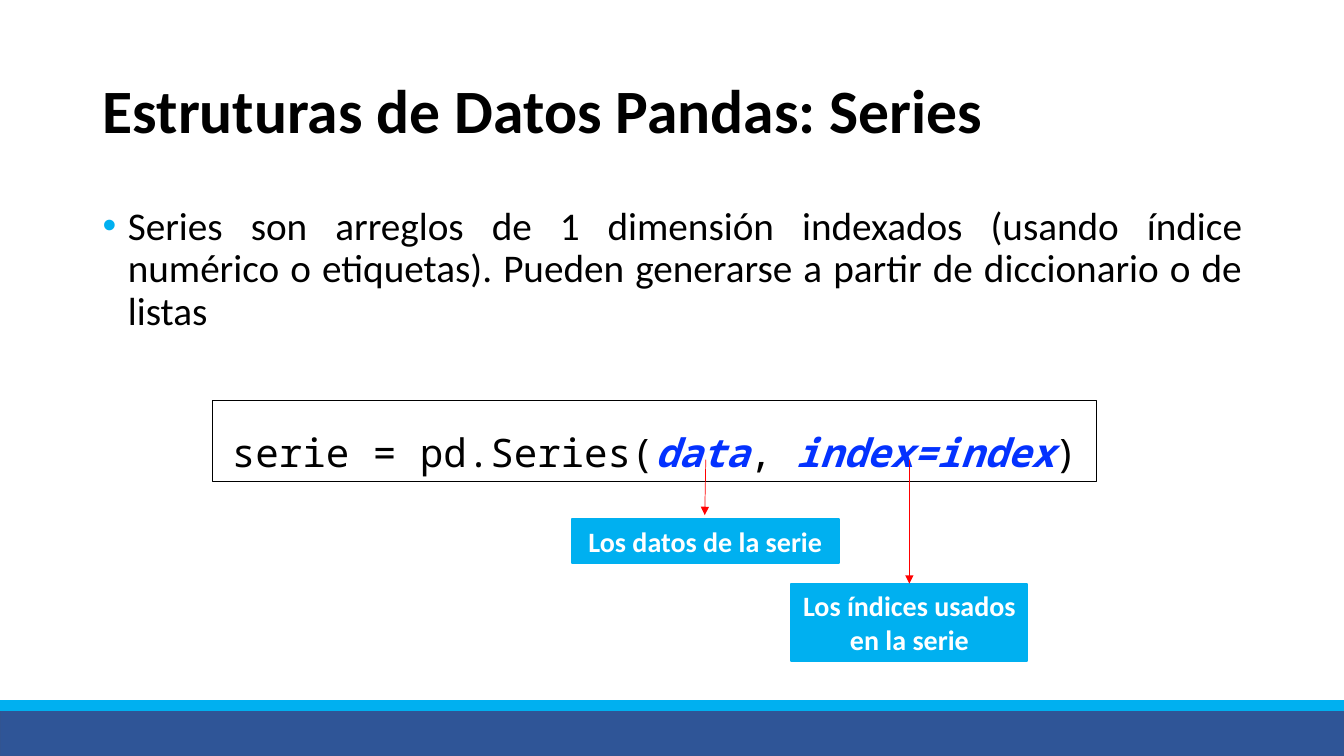
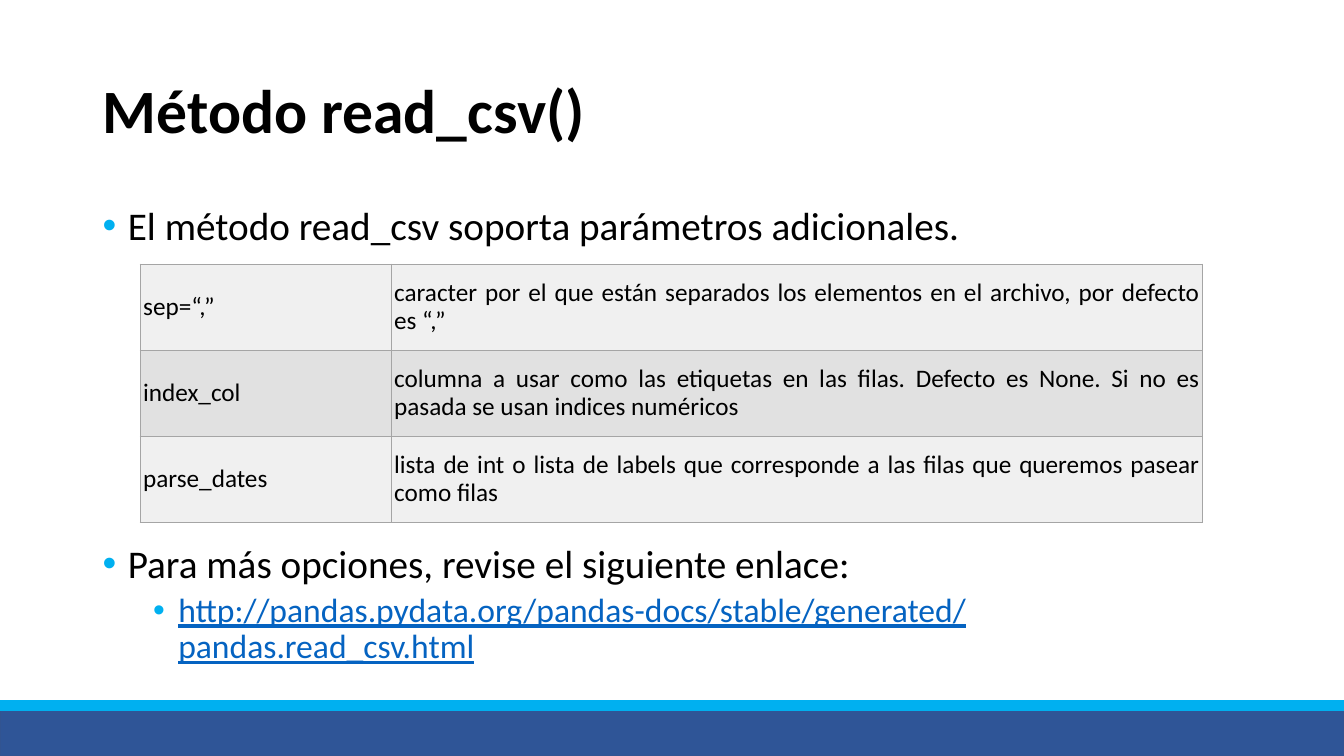
"""Build two slides about Pandas series and the read_csv method."""
from dataclasses import dataclass
from typing import Optional, Sequence

import lxml.etree
import pptx
import pptx.dml.color
import pptx.enum.shapes
import pptx.enum.text
import pptx.oxml.ns
import pptx.shapes.autoshape
import pptx.shapes.connector
import pptx.slide
import pptx.table
import pptx.text.text
import pptx.util

RGBColor = pptx.dml.color.RGBColor
Align = pptx.enum.text.PP_ALIGN
Anchor = pptx.enum.text.MSO_ANCHOR
AutoSize = pptx.enum.text.MSO_AUTO_SIZE

BLACK = RGBColor(0x00, 0x00, 0x00)
WHITE = RGBColor(0xFF, 0xFF, 0xFF)
NAVY = RGBColor(0x2F, 0x55, 0x97)
NAVY_EDGE = RGBColor(0x32, 0x54, 0x91)
CYAN = RGBColor(0x00, 0xB0, 0xF0)
CODE_BLUE = RGBColor(0x04, 0x32, 0xFF)
LINK_BLUE = RGBColor(0x05, 0x63, 0xC1)
RED = RGBColor(0xFF, 0x00, 0x00)
BORDER_GRAY = RGBColor(0xA5, 0xA5, 0xA5)
ROW_FILLS = (RGBColor(0xF0, 0xF0, 0xF0), RGBColor(0xE1, 0xE1, 0xE1))

TEXT_FONT = "Calibri"
CODE_FONT = "Noto Sans Mono"
EMU_PER_PX = 9144
SLIDE_WIDTH, SLIDE_HEIGHT = 1333, 750


@dataclass(frozen=True)
class Box:
    """A rectangle in px."""

    left: int
    top: int
    width: int
    height: int

    def emu(self) -> tuple:
        """Return left, top, width and height in EMU."""
        return tuple(map(px, (self.left, self.top, self.width, self.height)))


@dataclass(frozen=True)
class Run:
    """A stretch of text in one format."""

    text: str
    size: int = 28
    color: RGBColor = BLACK
    font: str = TEXT_FONT
    bold: bool = False
    italic: bool = False
    underline: bool = False


@dataclass(frozen=True)
class Paragraph:
    """Runs with their alignment, spacing and optional bullet indent in px."""

    runs: Sequence[Run]
    align: Align = Align.LEFT
    line_spacing: float = 0.9
    space_before: int = 0
    bullet_indent: Optional[int] = None


@dataclass(frozen=True)
class Panel:
    """A rectangle with its fill, line and text."""

    box: Box
    fill: Optional[RGBColor]
    line: RGBColor
    line_width: float
    paragraphs: Sequence[Paragraph] = ()


def px(length: int) -> int:
    """Turn px into EMU."""
    return pptx.util.Emu(length * EMU_PER_PX)


def add_xml(parent: lxml.etree._Element, tag: str, **attributes: str) -> lxml.etree._Element:
    """Append a DrawingML element."""
    return lxml.etree.SubElement(parent, pptx.oxml.ns.qn(tag), attributes)


def write_text(frame: pptx.text.text.TextFrame, paragraphs: Sequence[Paragraph]) -> None:
    """Fill a text frame run by run."""
    frame.word_wrap = True
    for number, item in enumerate(paragraphs):
        paragraph = frame.add_paragraph() if number else frame.paragraphs[0]
        paragraph.alignment = item.align
        paragraph.line_spacing = item.line_spacing
        paragraph.space_before = pptx.util.Pt(item.space_before)
        for part in item.runs:
            run = paragraph.add_run()
            run.text = part.text
            font = run.font
            font.name, font.size = part.font, pptx.util.Pt(part.size)
            font.bold, font.italic, font.underline = part.bold, part.italic, part.underline
            font.color.rgb = part.color
        if item.bullet_indent is not None:
            properties = paragraph._p.get_or_add_pPr()
            properties.set("marL", str(px(item.bullet_indent)))
            properties.set("indent", str(px(-25)))
            add_xml(add_xml(properties, "a:buClr"), "a:srgbClr", val=str(CYAN))
            add_xml(properties, "a:buFont", typeface="Arial")
            add_xml(properties, "a:buChar", char="•")


def add_panel(slide: pptx.slide.Slide, panel: Panel) -> pptx.shapes.autoshape.Shape:
    """Draw a rectangle, with text if it has any."""
    shape = slide.shapes.add_shape(pptx.enum.shapes.MSO_SHAPE.RECTANGLE, *panel.box.emu())
    shape.shadow.inherit = False
    if panel.fill is None:
        shape.fill.background()
    else:
        shape.fill.solid()
        shape.fill.fore_color.rgb = panel.fill
    shape.line.color.rgb = panel.line
    shape.line.width = pptx.util.Pt(panel.line_width)
    if panel.paragraphs:
        write_text(shape.text_frame, panel.paragraphs)
        shape.text_frame.vertical_anchor = Anchor.TOP
        shape.text_frame.auto_size = AutoSize.SHAPE_TO_FIT_TEXT
    return shape


def add_arrow(slide: pptx.slide.Slide, start: tuple[int, int],
              end: tuple[int, int]) -> pptx.shapes.connector.Connector:
    """Draw a thin red arrow."""
    arrow = slide.shapes.add_connector(
        pptx.enum.shapes.MSO_CONNECTOR.STRAIGHT, *map(px, start + end))
    arrow.line.color.rgb = RED
    arrow.line.width = pptx.util.Pt(0.5)
    add_xml(arrow.line._get_or_add_ln(), "a:tailEnd", type="triangle")
    add_xml(arrow._element.spPr, "a:effectLst")
    return arrow


def add_bands(slide: pptx.slide.Slide) -> None:
    """Draw the footer bands and place them in the slide's layout."""
    layout_tree = slide.slide_layout.shapes.element
    for band in (Panel(Box(0, 703, SLIDE_WIDTH, 47), NAVY, NAVY_EDGE, 1),
                 Panel(Box(0, 695, SLIDE_WIDTH, 10), CYAN, CYAN, 1)):
        layout_tree.append(add_panel(slide, band).element)


def add_titled_slide(presentation: pptx.presentation.Presentation, title: str,
                     body: Sequence[Paragraph]) -> pptx.slide.Slide:
    """Add a slide with the shared title style and a bulleted body."""
    slide = presentation.slides.add_slide(presentation.slide_layouts[5])
    heading = slide.shapes.title
    heading.left, heading.top, heading.width, heading.height = Box(92, 40, 1150, 145).emu()
    write_text(heading.text_frame, [Paragraph([Run(title, size=44, bold=True)])])
    heading.text_frame.vertical_anchor = Anchor.MIDDLE
    heading.text_frame.auto_size = AutoSize.NONE
    write_text(slide.shapes.add_textbox(*Box(92, 200, 1150, 476).emu()).text_frame, body)
    return slide


def add_label(slide: pptx.slide.Slide, box: Box, text: str) -> pptx.shapes.autoshape.Shape:
    """Draw a cyan label with bold white text."""
    paragraph = Paragraph([Run(text, size=20, color=WHITE, bold=True)], Align.CENTER, 1.0)
    return add_panel(slide, Panel(box, CYAN, CYAN, 1.5, [paragraph]))


def format_cell(cell: pptx.table._Cell, text: str, fill: RGBColor) -> None:
    """Write, fill and border one table cell."""
    write_text(cell.text_frame, [Paragraph([Run(text, size=18)], Align.JUSTIFY, space_before=10)])
    cell.vertical_anchor = Anchor.MIDDLE
    cell.margin_left = cell.margin_right = cell.margin_top = cell.margin_bottom = px(3)
    properties = cell._tc.get_or_add_tcPr()
    for side in ("a:lnL", "a:lnR", "a:lnT", "a:lnB"):
        border = add_xml(properties, side, w=str(pptx.util.Pt(1)))
        add_xml(add_xml(border, "a:solidFill"), "a:srgbClr", val=str(BORDER_GRAY))
    add_xml(add_xml(properties, "a:solidFill"), "a:srgbClr", val=str(fill))


def add_parameter_table(slide: pptx.slide.Slide, box: Box, widths: Sequence[int],
                        rows: Sequence[Sequence[str]]) -> None:
    """Draw the table of parameters and their meaning."""
    table = slide.shapes.add_table(len(rows), len(widths), *box.emu()).table
    table.first_row = table.horz_banding = False
    for column, width in zip(table.columns, widths):
        column.width = px(width)
    for row_number, texts in enumerate(rows):
        for column_number, text in enumerate(texts):
            format_cell(table.cell(row_number, column_number), text, ROW_FILLS[row_number % 2])


def build_series_slide(presentation: pptx.presentation.Presentation) -> None:
    """Build the slide on the Series constructor."""
    slide = add_titled_slide(presentation, "Estruturas de Datos Pandas: Series", [
        Paragraph([Run("Series son arreglos de 1 dimensión indexados (usando índice numérico "
                       "o etiquetas). Pueden generarse a partir de diccionario o de listas")],
                  Align.JUSTIFY, space_before=10, bullet_indent=25)])
    add_bands(slide)
    code = [Run(text, font=CODE_FONT, color=CODE_BLUE if argument else BLACK,
                bold=argument, italic=argument)
            for text, argument in (("serie = pd.Series(", False), ("data", True), (", ", False),
                                   ("index=index", True), (") ", False))]
    add_panel(slide, Panel(Box(211, 397, 877, 81), None, BLACK, 0.75,
                           [Paragraph(code, Align.CENTER, 1.5)]))
    index_label = add_label(slide, Box(785, 579, 234, 77), "Los índices usados en la serie")
    add_arrow(slide, (902, 456), (902, 579)).end_connect(index_label, 0)
    add_label(slide, Box(567, 515, 265, 44), "Los datos de la serie")
    add_arrow(slide, (700, 456), (699, 511))


def build_read_csv_slide(presentation: pptx.presentation.Presentation) -> None:
    """Build the slide on the read_csv parameters."""
    slide = add_titled_slide(presentation, "Método read_csv()", [
        Paragraph([Run("El método read_csv soporta parámetros adicionales.")],
                  space_before=10, bullet_indent=25),
        Paragraph([Run("Para más opciones, revise el siguiente enlace:")],
                  space_before=211, bullet_indent=25),
        Paragraph([Run("http://pandas.pydata.org/pandas-docs/stable/generated/"
                       "pandas.read_csv.html", size=24, color=LINK_BLUE, underline=True)],
                  space_before=5, bullet_indent=75)])
    add_parameter_table(slide, Box(139, 262, 1054, 256), (249, 805), (
        ("sep=“,”", "caracter por el que están separados los elementos en el archivo, "
                    "por defecto es “,”"),
        ("index_col", "columna a usar como las etiquetas en las filas. Defecto es None. "
                      "Si no es pasada se usan indices numéricos"),
        ("parse_dates", "lista de int o lista de labels que corresponde a las filas "
                        "que queremos pasear como filas")))


def main() -> None:
    """Build and save the presentation."""
    presentation = pptx.Presentation()
    presentation.slide_width, presentation.slide_height = px(SLIDE_WIDTH), px(SLIDE_HEIGHT)
    build_series_slide(presentation)
    build_read_csv_slide(presentation)
    presentation.save("out.pptx")


if __name__ == "__main__":
    main()
